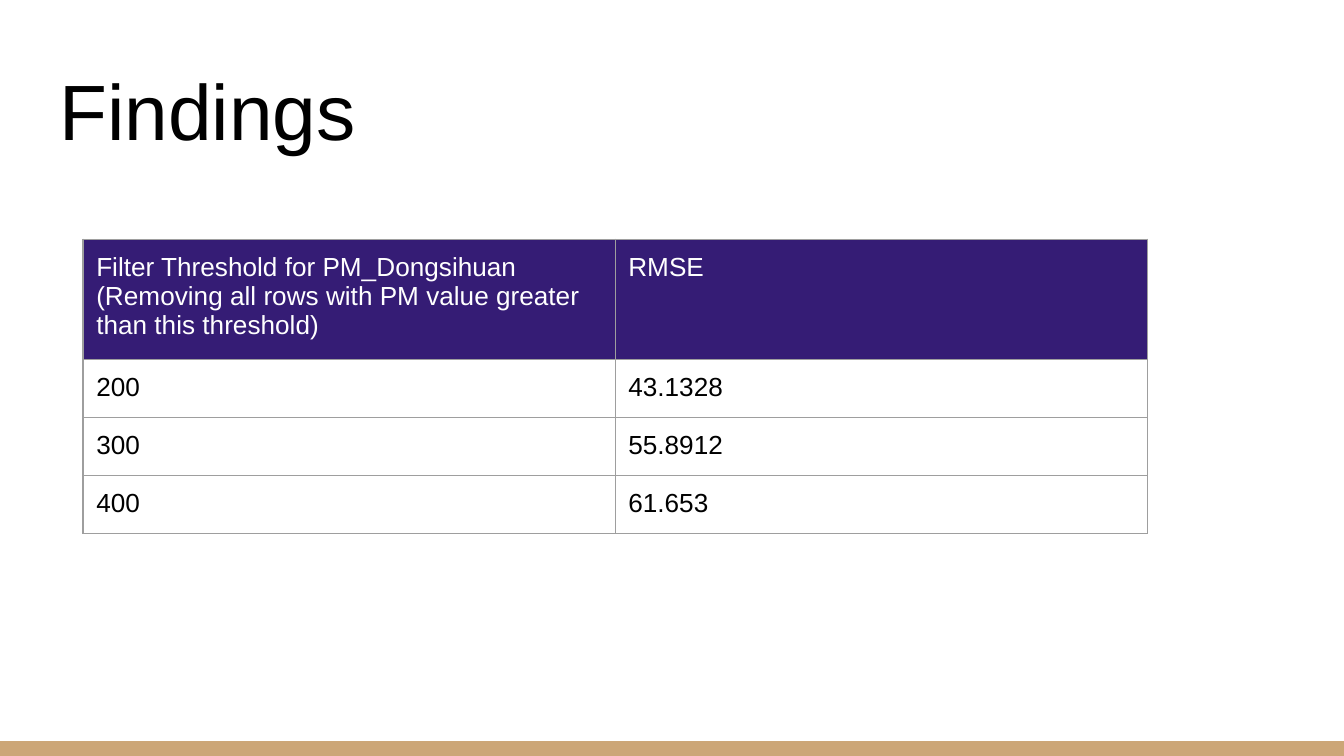
from dataclasses import dataclass

from lxml import etree
from pptx import Presentation
from pptx.dml.color import RGBColor
from pptx.enum.shapes import MSO_SHAPE
from pptx.enum.text import MSO_ANCHOR
from pptx.oxml.ns import qn
from pptx.util import Cm, Pt

RECTANGLE = MSO_SHAPE.RECTANGLE
BOTTOM, TOP = MSO_ANCHOR.BOTTOM, MSO_ANCHOR.TOP


@dataclass(frozen=True)
class Theme:
    font: str = "Arial"
    title_size: int = 42
    table_size: int = 14
    ink: str = "000000"
    header_ink: str = "FFFFFF"
    header_fill: str = "351C75"
    footer_fill: str = "CCA677"
    border: str = "9E9E9E"
    border_width: float = 0.75


THEME = Theme()
INSET = Cm(0.25)


def write(frame, text, size, color):
    """Set the insets of a text frame and add the text as one styled run."""
    frame.word_wrap = True
    frame.margin_left = frame.margin_right = INSET
    frame.margin_top = frame.margin_bottom = INSET
    run = frame.paragraphs[0].add_run()
    run.text = text
    run.font.name = THEME.font
    run.font.size = Pt(size)
    run.font.color.rgb = RGBColor.from_string(color)


def add_borders(cell):
    properties = cell._tc.get_or_add_tcPr()
    for position, side in enumerate(("a:lnL", "a:lnR", "a:lnT", "a:lnB")):
        line = etree.Element(qn(side), w=str(Pt(THEME.border_width)))
        fill = etree.SubElement(line, qn("a:solidFill"))
        etree.SubElement(fill, qn("a:srgbClr"), val=THEME.border)
        properties.insert(position, line)


presentation = Presentation()
presentation.slide_width = Cm(25.4)
presentation.slide_height = Cm(14.29)
slide = presentation.slides.add_slide(presentation.slide_layouts[6])

footer_height = Cm(0.28)
footer = slide.shapes.add_shape(
    RECTANGLE, 0, presentation.slide_height - footer_height,
    presentation.slide_width, footer_height)
footer.shadow.inherit = False
footer.fill.solid()
footer.fill.fore_color.rgb = RGBColor.from_string(THEME.footer_fill)
footer.line.fill.background()

title = slide.shapes.add_textbox(Cm(0.87), Cm(0.89), Cm(23.67), Cm(2.31))
title.text_frame.vertical_anchor = BOTTOM
write(title.text_frame, "Findings", THEME.title_size, THEME.ink)

findings = [
    ("Filter Threshold for PM_Dongsihuan (Removing all rows with PM value "
     "greater than this threshold)", "RMSE"),
    ("200", "43.1328"),
    ("300", "55.8912"),
    ("400", "61.653"),
]
row_heights = [Cm(2.17)] + [Cm(1.07)] * 3
results = slide.shapes.add_table(
    len(findings), 2, Cm(1.57), Cm(4.52), Cm(20.11), sum(row_heights)).table
results.horz_banding = False

for row, (height, values) in enumerate(zip(row_heights, findings)):
    results.rows[row].height = height
    for column, value in enumerate(values):
        cell = results.cell(row, column)
        cell.vertical_anchor = TOP
        cell.margin_left = cell.margin_right = INSET
        cell.margin_top = cell.margin_bottom = INSET
        if row == 0:
            cell.fill.solid()
            cell.fill.fore_color.rgb = RGBColor.from_string(THEME.header_fill)
        else:
            cell.fill.background()
        add_borders(cell)
        run = cell.text_frame.paragraphs[0].add_run()
        run.text = value
        run.font.name = THEME.font
        run.font.size = Pt(THEME.table_size)
        run.font.bold = False
        run.font.color.rgb = RGBColor.from_string(
            THEME.header_ink if row == 0 else THEME.ink)

presentation.save("out.pptx")
